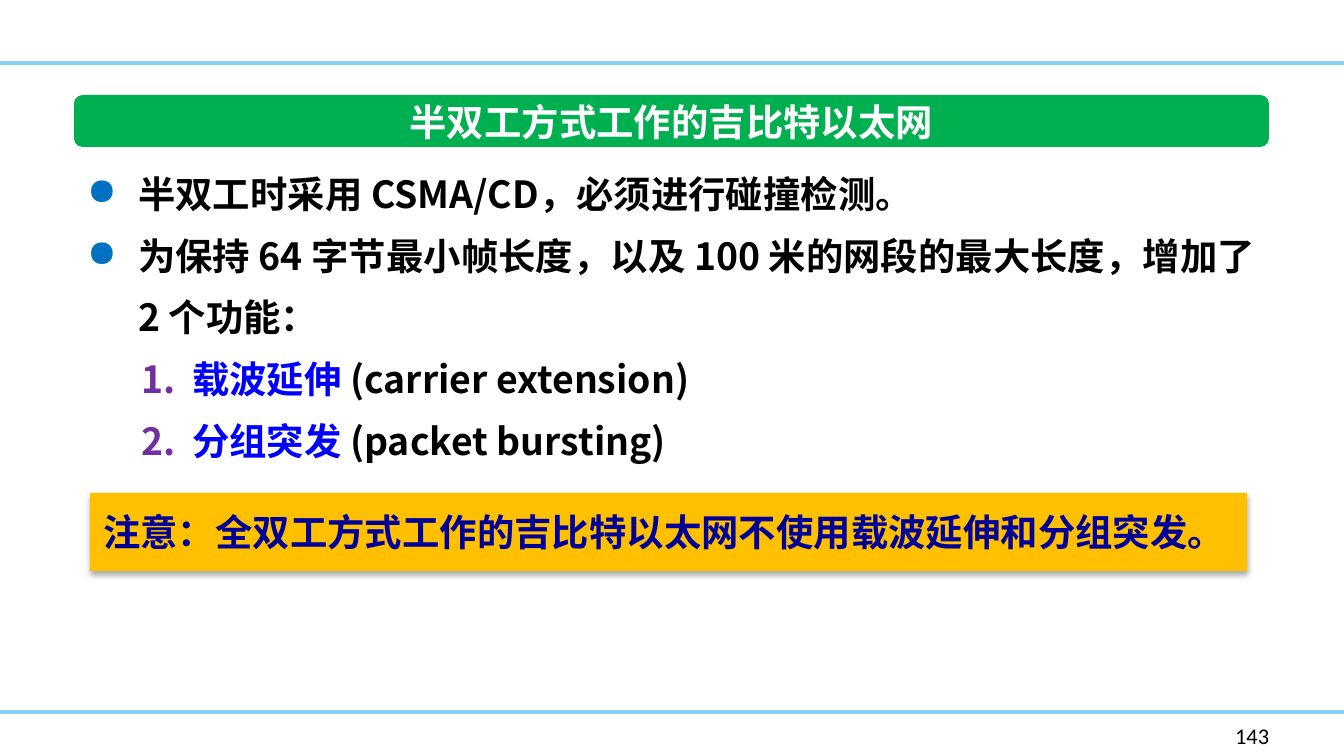
from lxml import etree
from pptx import Presentation
from pptx.dml.color import RGBColor
from pptx.enum.shapes import MSO_CONNECTOR, MSO_SHAPE
from pptx.enum.text import MSO_ANCHOR, PP_ALIGN
from pptx.oxml.ns import qn
from pptx.util import Pt

PX = 914400 / 134.4
LINE = MSO_CONNECTOR.STRAIGHT
RECTANGLE = MSO_SHAPE.RECTANGLE
ROUNDED = MSO_SHAPE.ROUNDED_RECTANGLE
LEFT, CENTER = PP_ALIGN.LEFT, PP_ALIGN.CENTER
TOP, MIDDLE = MSO_ANCHOR.TOP, MSO_ANCHOR.MIDDLE

WHITE = RGBColor(0xFF, 0xFF, 0xFF)
BLACK = RGBColor(0, 0, 0)
SKY = RGBColor(0x85, 0xD1, 0xF7)
GREEN = RGBColor(0x00, 0xB0, 0x50)
AMBER = RGBColor(0xFF, 0xC0, 0x00)
NAVY = RGBColor(0x00, 0x00, 0x99)
BLUE = RGBColor(0x00, 0x00, 0xFF)
BULLET_BLUE = RGBColor(0x00, 0x70, 0xC0)
PURPLE = RGBColor(0x70, 0x30, 0xA0)

CJK_FONT = "Noto Sans CJK SC"
POINTS = [
    "半双工时采用 CSMA/CD，必须进行碰撞检测。",
    "为保持 64 字节最小帧长度，以及 100 米的网段的最大长度，增加了 2 个功能：",
]
FEATURES = [("载波延伸 ", "(carrier extension)"), ("分组突发 ", "(packet bursting)")]


def px(*lengths):
    return [round(length * PX) for length in lengths]


def add_child(parent, tag, **attributes):
    return etree.SubElement(parent, qn(tag), attributes)


def set_font(paragraph, color, size=20, name=CJK_FONT, bold=True):
    """Format a whole paragraph, East Asian characters included."""
    font = paragraph.font
    font.size, font.bold, font.name = Pt(size), bold, name
    font.color.rgb = color
    add_child(paragraph._p.pPr.find(qn("a:defRPr")), "a:ea", typeface=name)


def set_marker(paragraph, indent, color, tag, **attributes):
    """Give a paragraph a hanging bullet or number."""
    properties = paragraph._p.get_or_add_pPr()
    hanging, = px(51)
    properties.set("marL", str(px(indent)[0]))
    properties.set("indent", str(-hanging))
    paragraph.line_spacing = Pt(33)
    add_child(add_child(properties, "a:buClr"), "a:srgbClr", val=str(color))
    add_child(properties, tag, **attributes)


def add_rule(slide, y):
    rule = slide.shapes.add_connector(LINE, *px(0, y, 1344, y))
    rule.line.color.rgb = SKY
    rule.line.width = Pt(2)
    add_child(rule._element.spPr, "a:effectLst")


def add_block(slide, preset, box, fill):
    block = slide.shapes.add_shape(preset, *px(*box))
    block.shadow.inherit = False
    block.fill.solid()
    block.fill.fore_color.rgb = fill
    block.line.fill.background()
    return block


def add_title(slide, text):
    add_block(slide, ROUNDED, (74, 95, 1195, 52), GREEN)
    title = slide.shapes.title
    title.left, title.top, title.width, title.height = px(394, 92, 555, 59)
    frame = title.text_frame
    frame.text = text
    frame.word_wrap = False
    frame.vertical_anchor = MIDDLE
    heading = frame.paragraphs[0]
    heading.alignment = CENTER
    set_font(heading, WHITE)
    slide.shapes._spTree.append(title._element)  # in front of the green bar


def add_body(slide):
    frame = slide.shapes.add_textbox(*px(74, 148, 1195, 325)).text_frame
    frame.word_wrap = True
    paragraphs = [frame.paragraphs[0]]
    paragraphs += [frame.add_paragraph() for _ in POINTS[1:] + FEATURES]
    for paragraph, point in zip(paragraphs, POINTS):
        set_marker(paragraph, 51, BULLET_BLUE, "a:buChar", char="●")
        set_font(paragraph, BLACK)
        paragraph.add_run().text = point
    for paragraph, (term, english) in zip(paragraphs[len(POINTS):], FEATURES):
        set_marker(paragraph, 105, PURPLE, "a:buAutoNum", type="arabicPeriod")
        set_font(paragraph, BLACK)
        term_run = paragraph.add_run()
        term_run.text = term
        term_run.font.color.rgb = BLUE
        paragraph.add_run().text = english


def add_soft_shadow(shape):
    effects = shape._element.spPr.find(qn("a:effectLst"))
    shadow = add_child(effects, "a:outerShdw", blurRad=str(Pt(3.1)),
                       dist=str(Pt(1.8)), dir="5400000", rotWithShape="0")
    color = add_child(shadow, "a:srgbClr", val=str(BLACK))
    add_child(color, "a:alpha", val="35000")


def add_note(slide, text):
    note = add_block(slide, RECTANGLE, (90, 493, 1157, 78), AMBER)
    add_soft_shadow(note)
    frame = note.text_frame
    frame.margin_top, frame.margin_bottom = px(16, 16)
    frame.vertical_anchor = TOP
    frame.text = text
    frame.paragraphs[0].alignment = LEFT
    set_font(frame.paragraphs[0], NAVY)


def add_page_number(slide, number):
    frame = slide.shapes.add_textbox(*px(1222, 716, 87, 40)).text_frame
    frame.word_wrap = True
    frame.text = number
    set_font(frame.paragraphs[0], BLACK, 12, "Calibri", False)


def main():
    presentation = Presentation()
    presentation.slide_width, presentation.slide_height = px(1344, 756)
    slide = presentation.slides.add_slide(presentation.slide_layouts[5])
    for y in (63, 712):
        add_rule(slide, y)
    add_body(slide)
    add_title(slide, "半双工方式工作的吉比特以太网")
    add_note(slide, "注意：全双工方式工作的吉比特以太网不使用载波延伸和分组突发。")
    add_page_number(slide, "143")
    presentation.save("out.pptx")


if __name__ == "__main__":
    main()
